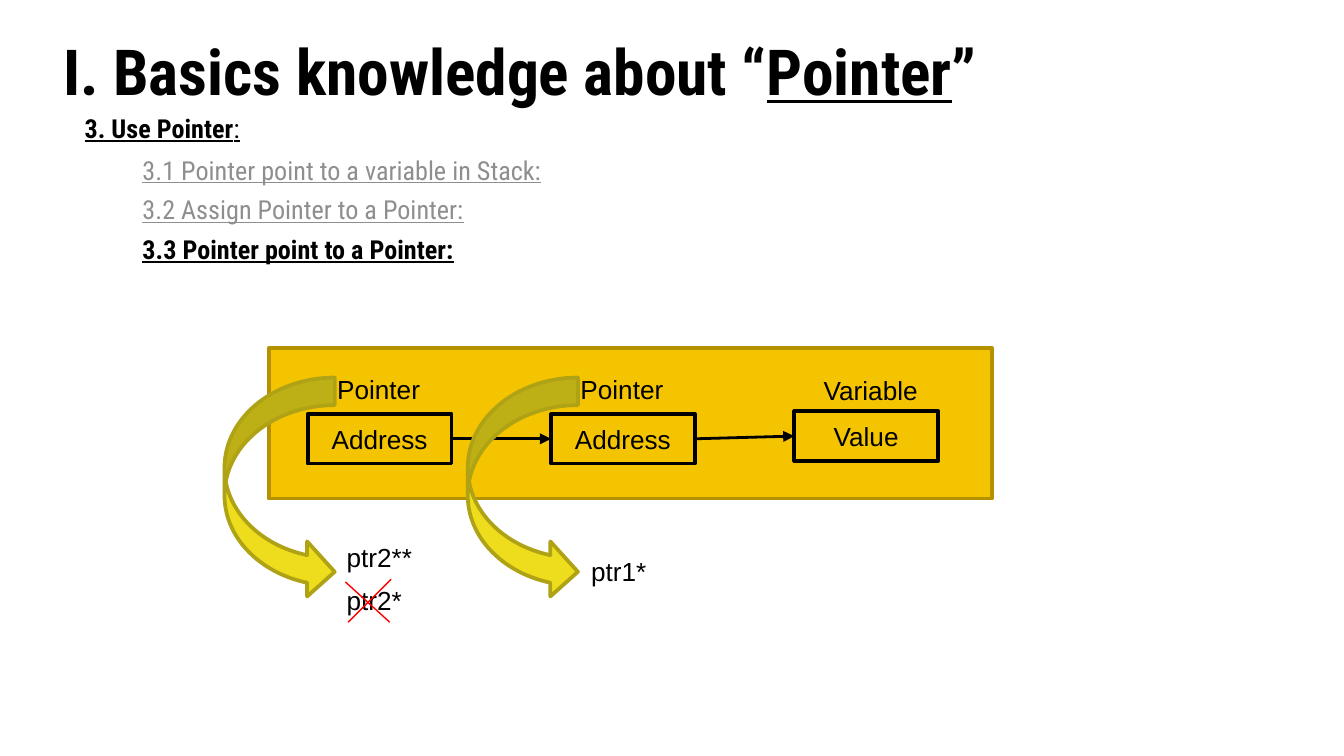
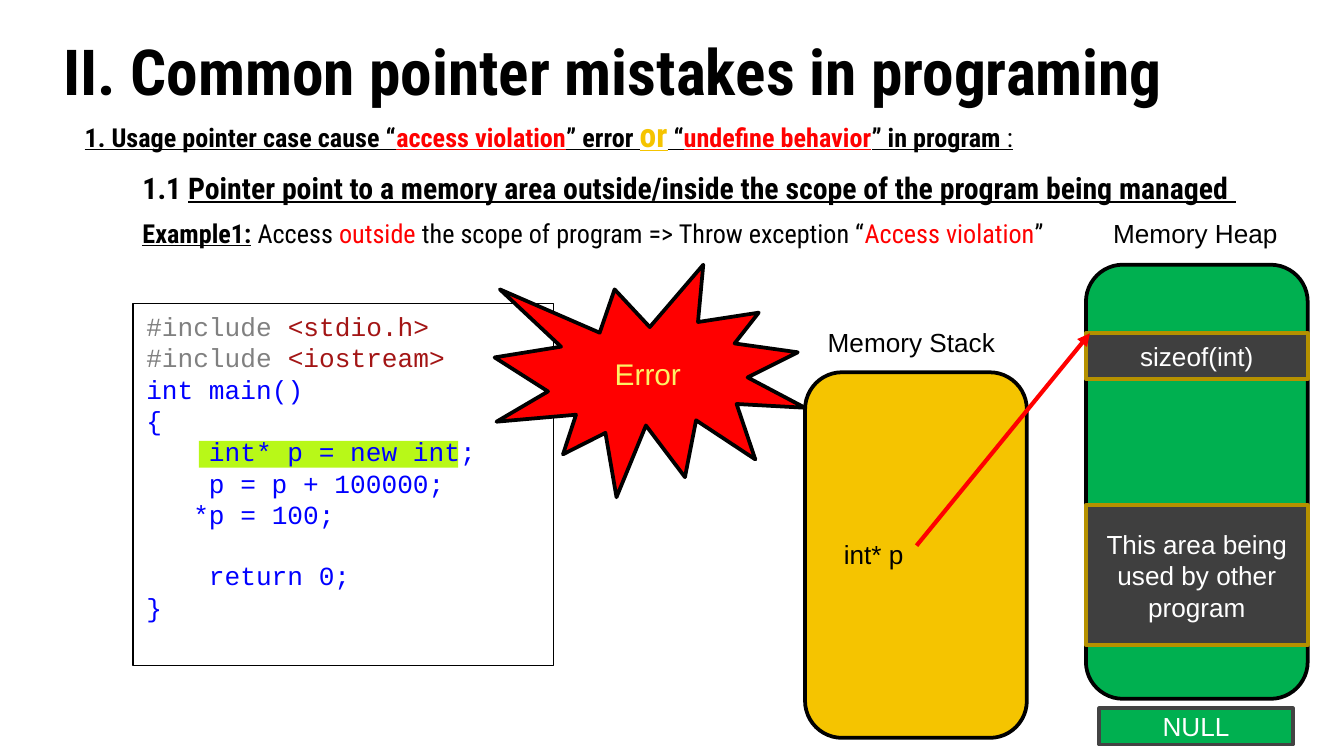
from dataclasses import dataclass

from lxml.etree import SubElement
from pptx import Presentation
from pptx.dml.color import RGBColor
from pptx.enum.shapes import MSO_CONNECTOR, MSO_SHAPE
from pptx.enum.text import MSO_ANCHOR, MSO_AUTO_SIZE, PP_ALIGN
from pptx.oxml.ns import qn
from pptx.util import Inches, Pt

# Grid: 100 columns by 56.25 rows of square cells
COLUMNS, ROWS = 100, 56.25

BLACK, WHITE, RED = "000000", "FFFFFF", "FF0000"
GREY, DARK = "8E8E8E", "3F3F3F"
GOLD, DARK_GOLD, GREEN = "F5C400", "B59100", "00B050"
CODE_BLUE, CODE_GREY, CODE_RED = "0000FF", "808080", "A31515"

HEADING_FONT, BODY_FONT, CODE_FONT = "Roboto Condensed", "Arial", "Courier New"
CODE_CHARACTER = Pt(8.4)
CODE_LINE = Pt(16)
TOP, LEFT, BOTTOM, RIGHT = range(4)


def rgb(color):
    return RGBColor.from_string(color)


@dataclass
class Run:
    text: str
    color: str = BLACK
    bold: bool = False
    underline: bool = False
    size: float = 14
    font: str = BODY_FONT


def heading_run(text, color=BLACK, bold=True, underline=True, size=14):
    return Run(text, color, bold, underline, size, HEADING_FONT)


def code_run(text, color=CODE_BLUE):
    return Run(text, color, font=CODE_FONT)


class Deck:
    """Holds the shared style, the current slide and the current shape list."""

    def __init__(self):
        self.presentation = Presentation()
        self.presentation.slide_width = Inches(10)
        self.presentation.slide_height = Inches(5.625)
        self.column = self.presentation.slide_width / COLUMNS
        self.row = self.presentation.slide_height / ROWS

    def new_slide(self):
        layout = self.presentation.slide_layouts[6]
        self.slide = self.presentation.slides.add_slide(layout)
        self.end_group()

    def begin_group(self):
        self.shapes = self.slide.shapes.add_group_shape().shapes

    def end_group(self):
        self.shapes = self.slide.shapes

    def place(self, *lengths):
        """Turn alternating columns and rows into slide lengths."""
        units = (self.column, self.row) * 2
        return [round(length * unit) for length, unit in zip(lengths, units)]

    def add_runs(self, paragraph, runs):
        for item in runs:
            run = paragraph.add_run()
            run.text = item.text
            font = run.font
            font.name, font.size = item.font, Pt(item.size)
            font.bold, font.underline = item.bold, item.underline
            font.color.rgb = rgb(item.color)

    def heading(self, box, runs, line_spacing=1.15, align=PP_ALIGN.JUSTIFY,
                anchor=MSO_ANCHOR.TOP):
        frame = self.shapes.add_textbox(*self.place(*box)).text_frame
        frame.word_wrap = True
        frame.vertical_anchor = anchor
        frame.margin_left = frame.margin_right = Inches(0.07)
        frame.margin_top = frame.margin_bottom = Inches(0.04)
        paragraph = frame.paragraphs[0]
        paragraph.alignment, paragraph.line_spacing = align, line_spacing
        self.add_runs(paragraph, runs)

    def title(self, columns, *parts):
        """Parts are (text, underlined) pairs."""
        runs = [heading_run(text, underline=line, size=34) for text, line in parts]
        self.heading((4, 2.6, columns, 5.9), runs, 0.9, PP_ALIGN.LEFT,
                     MSO_ANCHOR.MIDDLE)

    def label(self, box, text, wrap=False):
        frame = self.shapes.add_textbox(*self.place(*box)).text_frame
        frame.word_wrap = wrap
        frame.auto_size = MSO_AUTO_SIZE.SHAPE_TO_FIT_TEXT
        self.add_runs(frame.paragraphs[0], [Run(text)])

    def shape(self, kind, box, fill=None, line=None, run=None, weight=2):
        shape = self.shapes.add_shape(kind, *self.place(*box))
        shape.shadow.inherit = False
        if fill:
            shape.fill.solid()
            shape.fill.fore_color.rgb = rgb(fill)
        else:
            shape.fill.background()
        if line:
            shape.line.color.rgb = rgb(line)
            shape.line.width = Pt(weight)
        else:
            shape.line.fill.background()
        if run:
            frame = shape.text_frame
            frame.word_wrap = True
            frame.vertical_anchor = MSO_ANCHOR.MIDDLE
            frame.paragraphs[0].alignment = PP_ALIGN.CENTER
            self.add_runs(frame.paragraphs[0], [run])
        return shape

    def code(self, box, lines):
        """Lines are (indent in characters, blank lines before, runs)."""
        shape = self.shape(MSO_SHAPE.RECTANGLE, box, line=BLACK, weight=0.75)
        frame = shape.text_frame
        frame.word_wrap = True
        frame.vertical_anchor = MSO_ANCHOR.TOP
        for index, (indent, gap, runs) in enumerate(lines):
            paragraph = frame.add_paragraph() if index else frame.paragraphs[0]
            paragraph.alignment = PP_ALIGN.LEFT
            paragraph.space_before = gap * CODE_LINE
            properties = paragraph._p.get_or_add_pPr()
            properties.set("marL", str(indent * CODE_CHARACTER))
            properties.set("indent", "0")
            self.add_runs(paragraph, runs)

    def line(self, start, end, color, weight, arrow=False):
        connector = self.shapes.add_connector(
            MSO_CONNECTOR.STRAIGHT, *self.place(*start, *end))
        connector.line.color.rgb = rgb(color)
        connector.line.width = Pt(weight)
        if arrow:
            outline = connector.line._get_or_add_ln()
            SubElement(outline, qn("a:tailEnd"), type="triangle")
        SubElement(connector._element.spPr, qn("a:effectLst"))
        return connector

    def link(self, source, target):
        connector = self.line((0, 0), (1, 1), BLACK, 1.5, arrow=True)
        connector.begin_connect(source, RIGHT)
        connector.end_connect(target, LEFT)


def pointer_to_pointer(deck):
    deck.new_slide()
    deck.title(81.9, ("I. Basics knowledge about “", False),
               ("Pointer", True), ("”", False))

    # Outline
    deck.heading((5.6, 7.6, 14.4, 3.8),
                 [heading_run("3. Use Pointer"), heading_run(":", bold=False)])
    topics = [("3.1 Pointer point to a variable in Stack:", GREY, False),
              ("3.2 Assign Pointer to a Pointer:", GREY, False),
              ("3.3 Pointer point to a Pointer:", BLACK, True)]
    for index, (text, color, bold) in enumerate(topics):
        deck.heading((9.9, 10.7 + 2.95 * index, 33.1, 3.8),
                     [heading_run(text, color, bold)])

    # Memory cells and their links
    step = 18.1
    deck.begin_group()
    deck.shape(MSO_SHAPE.RECTANGLE, (20, 25.9, 53.8, 11.2), GOLD, DARK_GOLD)
    cells = []
    for index, (text, top) in enumerate(
            [("Address", 30.8), ("Address", 30.8), ("Value", 30.6)]):
        cells.append(deck.shape(MSO_SHAPE.RECTANGLE,
                                (22.9 + step * index, top, 10.7, 3.7),
                                GOLD, BLACK, Run(text)))
    for source, target in zip(cells, cells[1:]):
        deck.link(source, target)
    for index, (text, top, width) in enumerate(
            [("Pointer", 27.3, 8.2), ("Pointer", 27.3, 8.2),
             ("Variable", 27.4, 9.2)]):
        deck.label((24.1 + step * index, top, width, 3.4), text)
    deck.end_group()

    # Dereference arrows and results
    deck.label((24.8, 39.8, 6.9, 3.4), "ptr2**")
    deck.label((43, 40.8, 6.2, 3.4), "ptr1*")
    for index in range(2):
        deck.shape(MSO_SHAPE.CURVED_RIGHT_ARROW,
                   (16.7 + step * index, 28.1, 8.2, 16.5), "EDDD1D", "AFA315")
    deck.label((24.8, 43, 6.2, 3.4), "ptr2*")

    # Red cross
    deck.begin_group()
    deck.line((25.7, 43.3), (29, 46.3), RED, 0.75)
    deck.line((25.9, 46.3), (29.1, 43.1), RED, 0.75)
    deck.end_group()


def access_violation(deck):
    deck.new_slide()
    deck.shape(MSO_SHAPE.RECTANGLE, (14.8, 32.8, 19.3, 2), "B8F818")
    deck.title(92.6, ("II. Common pointer mistakes in programing", False))

    # Headings
    deck.heading((5.6, 7.6, 75.5, 3.8), [
        heading_run("1. Usage pointer case cause “"),
        heading_run("access violation", RED),
        heading_run("” error "),
        heading_run("or", GOLD, size=18),
        heading_run(" “"),
        heading_run("undefine behavior", RED),
        heading_run("” in program "),
        heading_run(":", bold=False)])
    deck.heading((9.9, 15.4, 70, 3.8), [
        heading_run("Example1:"),
        *[heading_run(text, color, bold=False, underline=False)
          for text, color in [
              (" Access ", BLACK), ("outside", RED),
              (" the scope of program => Throw exception “", BLACK),
              ("Access violation", RED), ("”", BLACK)]]])
    deck.heading((9.9, 11.8, 85.5, 3.8), [
        heading_run("1.1 ", underline=False, size=16),
        heading_run("Pointer point to a memory area outside/inside the scope "
                    "of the program being managed", size=16),
        heading_run(" ", bold=False, size=16)])

    # Source code
    includes = [(0, 0, [code_run("#include ", CODE_GREY),
                        code_run(header, CODE_RED)])
                for header in ("<stdio.h>", "<iostream>")]
    statements = [(indent, gap, [code_run(text)]) for indent, gap, text in [
        (0, 0, "int main()"), (0, 0, "{"), (4, 0, "int* p = new int;"),
        (4, 0, "p = p + 100000;"), (3, 0, "*p = 100;"),
        (4, 1, "return 0;"), (0, 0, "}")]]
    deck.code((9.9, 22.6, 31.3, 26.9), includes + statements)

    # Stack and heap
    heap_left, memory_width = 80.8, 16.5
    deck.shape(MSO_SHAPE.ROUNDED_RECTANGLE,
               (59.9, 27.7, memory_width, 27.2), GOLD, BLACK)
    deck.label((60.6, 23.8, 15.1, 3.4), "Memory Stack", wrap=True)
    deck.shape(MSO_SHAPE.ROUNDED_RECTANGLE,
               (heap_left, 19.7, memory_width, 32.3), GREEN, BLACK)
    deck.label((81.3, 15.7, 15.1, 3.4), " Memory Heap", wrap=True)
    deck.shape(MSO_SHAPE.RECTANGLE, (81.8, 52.7, 14.4, 2.7), GREEN, "434343",
               Run("NULL", WHITE))
    deck.label((61.8, 39.6, 6.5, 3.4), "int* p")

    # Used heap areas and the stray pointer
    areas = [("sizeof(int)", 24.8, 3.4),
             ("This area being used by other program", 37.6, 10.4)]
    for text, top, height in areas:
        deck.shape(MSO_SHAPE.RECTANGLE, (heap_left, top, memory_width, height),
                   DARK, DARK_GOLD, Run(text, WHITE))
    deck.line((68.2, 40.6), (81.1, 24.8), RED, 2.25, arrow=True)
    deck.shape(MSO_SHAPE.EXPLOSION1, (36.8, 19.7, 23.1, 17.3), RED, BLACK,
               Run("Error", "FDF166", size=16))


def main():
    deck = Deck()
    pointer_to_pointer(deck)
    access_violation(deck)
    deck.presentation.save("out.pptx")


if __name__ == "__main__":
    main()
